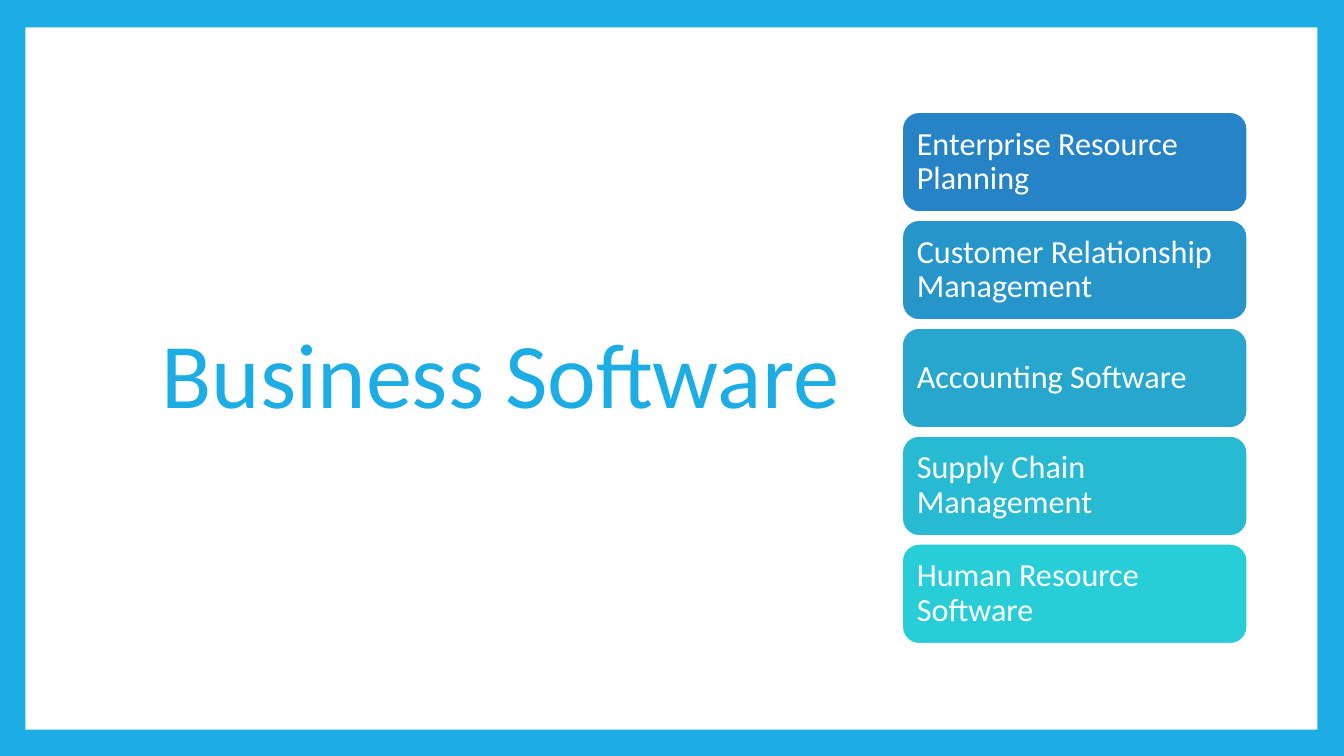
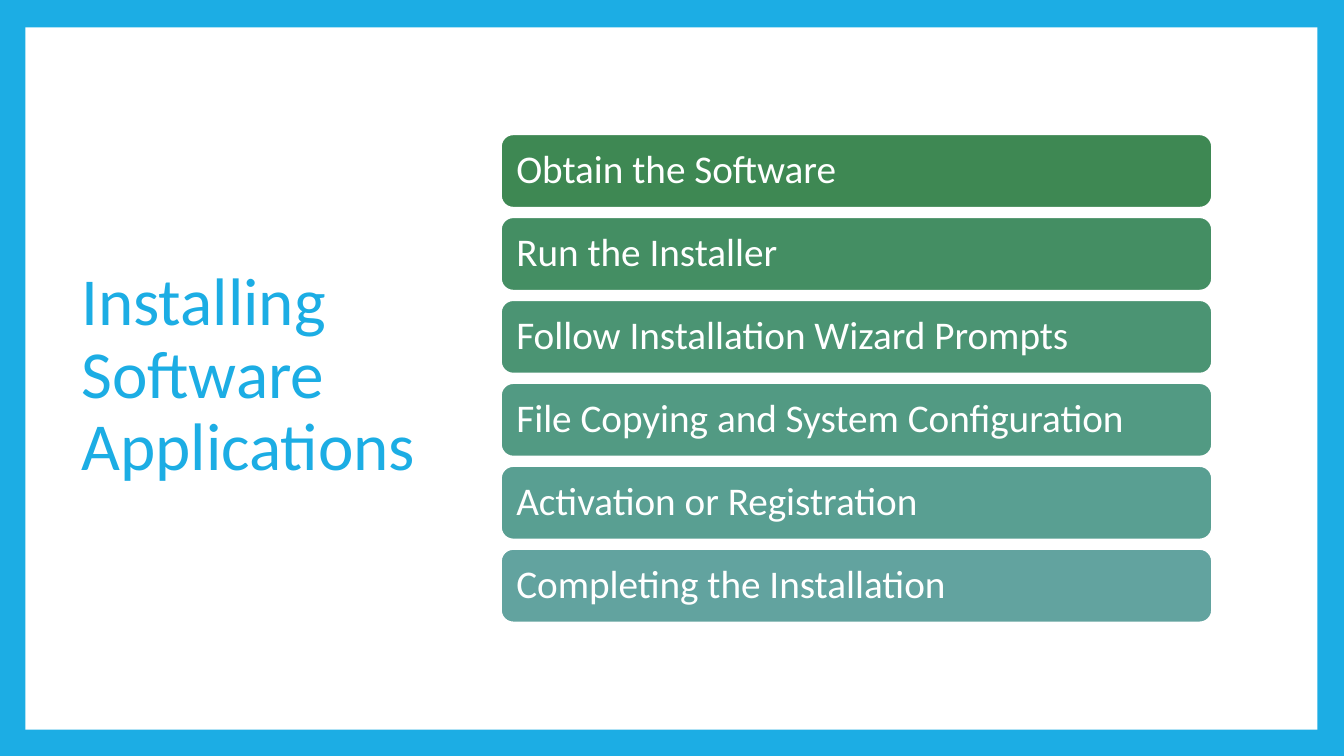
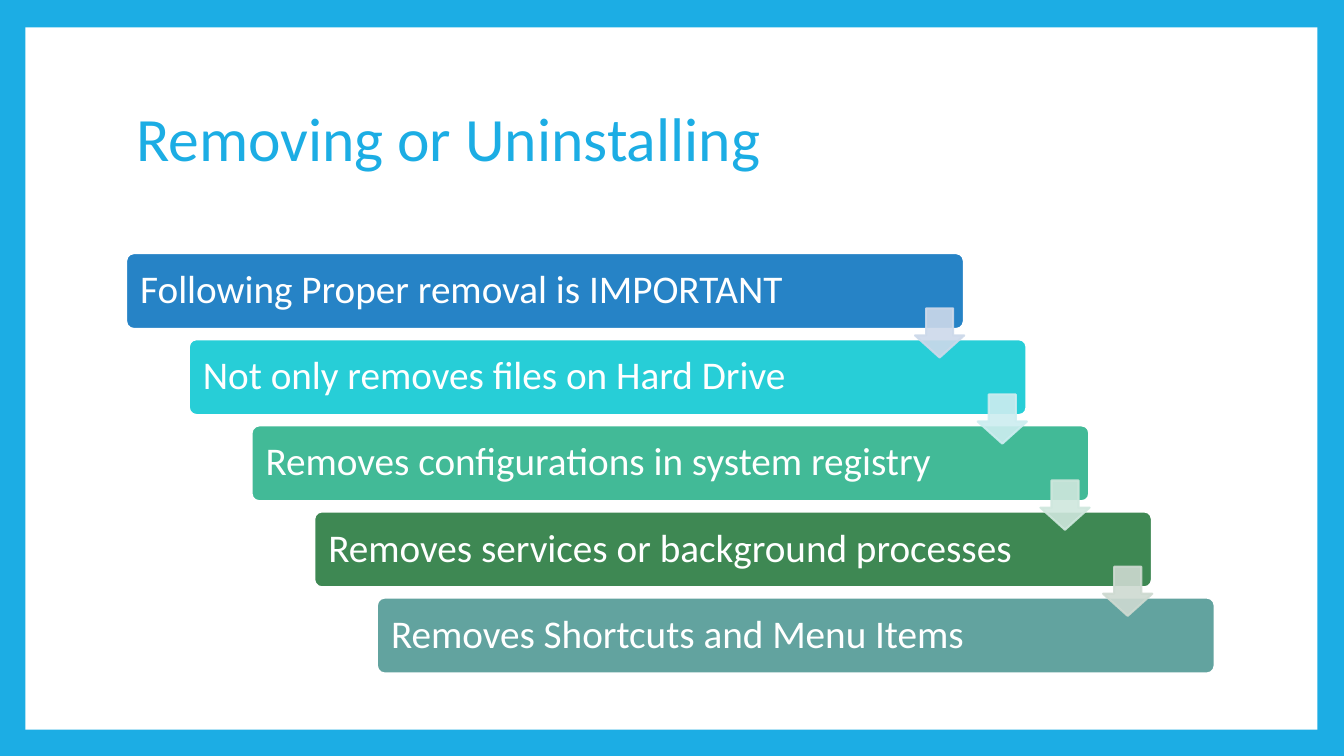
from dataclasses import dataclass

from lxml.etree import SubElement
from pptx import Presentation
from pptx.dml.color import RGBColor as RGB
from pptx.enum.shapes import MSO_SHAPE as SHAPE
from pptx.enum.text import MSO_ANCHOR as ANCHOR, PP_ALIGN as ALIGN
from pptx.oxml.ns import qn
from pptx.util import Cm, Pt


@dataclass(frozen=True)
class Theme:
    font: str = "Calibri"
    accent: str = "1CADE4"
    white: str = "FFFFFF"
    line_width: float = 1.5
    line_spacing: float = 0.9
    title_sizes: tuple = (66, 48, 44)
    bar_sizes: tuple = (23, 28, 28)
    blues: tuple = ("2683C6", "2695CA", "27A7CE", "27BAD3", "27CED7")
    greens: tuple = ("3E8853", "448E63", "4B9473", "529A83", "599F92", "62A39F")
    mixed: tuple = ("2683C6", "27CED7", "42BA97", "3E8853", "62A39F")
    arrows: tuple = ("CDD9EA", "CDEDF0", "CFE7DD", "CEDAD1")
    arrow_alpha: int = 90000


theme = Theme()


def add_box(s, kind, left, top, width, height, fill, line=None):
    sp = s.shapes.add_shape(kind, Cm(left), Cm(top), Cm(width), Cm(height))
    sp.shadow.inherit = False
    sp.fill.solid()
    sp.fill.fore_color.rgb = RGB.from_string(fill)
    if line:
        sp.line.color.rgb = RGB.from_string(line)
        sp.line.width = Pt(theme.line_width)
    else:
        sp.line.fill.background()
    return sp


def write(sp, text, size, color, align=ALIGN.LEFT):
    tf = sp.text_frame
    tf.word_wrap = True
    tf.vertical_anchor = ANCHOR.MIDDLE
    p = tf.paragraphs[0]
    p.text = text
    p.alignment = align
    p.line_spacing = theme.line_spacing
    p.font.name = theme.font
    p.font.size = Pt(size)
    p.font.color.rgb = RGB.from_string(color)
    return tf


prs = Presentation()
prs.slide_width, prs.slide_height = Cm(33.87), Cm(19.05)
background = prs.slide_master.background.fill
background.solid()
background.fore_color.rgb = RGB.from_string(theme.accent)

pages = [
    dict(title="Business Software", title_at=(2.44, 2.44, 18.97, 14.22), align=ALIGN.RIGHT,
         start=(22.73, 2.82), step=(0, 2.72), size=(8.71, 2.53), corner=0.17, inset=0.25,
         colors=theme.blues,
         bars=["Enterprise Resource Planning", "Customer Relationship Management",
               "Accounting Software", "Supply Chain Management", "Human Resource Software"]),
    dict(title="Installing Software Applications", title_at=(1.8, 1.7, 9.35, 15.57), align=ALIGN.LEFT,
         start=(12.62, 3.38), step=(0, 2.09), size=(17.93, 1.86), corner=0.17, inset=0.3,
         colors=theme.greens,
         bars=["Obtain the Software", "Run the Installer", "Follow Installation Wizard Prompts",
               "File Copying and System Configuration", "Activation or Registration",
               "Completing the Installation"]),
    dict(title="Removing or Uninstalling", title_at=(3.18, 1.7, 27.43, 3.76), align=ALIGN.LEFT,
         start=(3.18, 6.38), step=(1.58, 2.17), size=(21.11, 1.91), corner=0.1, inset=0.3,
         colors=theme.mixed,
         bars=["Following Proper removal is IMPORTANT", "Not only removes files on Hard Drive",
               "Removes configurations in system registry",
               "Removes services or background processes", "Removes Shortcuts and Menu Items"]),
]

for page, title_size, bar_size in zip(pages, theme.title_sizes, theme.bar_sizes):
    s = prs.slides.add_slide(prs.slide_layouts[6])
    add_box(s, SHAPE.RECTANGLE, 0.64, 0.69, 32.56, 17.7, theme.white)
    title = s.shapes.add_textbox(*map(Cm, page["title_at"]))
    write(title, page["title"], title_size, theme.accent, page["align"])

    left, top = page["start"]
    dx, dy = page["step"]
    for i, (text, color) in enumerate(zip(page["bars"], page["colors"])):
        bar = add_box(s, SHAPE.ROUNDED_RECTANGLE, left + i * dx, top + i * dy,
                      *page["size"], color, theme.white)
        bar.adjustments[0] = page["corner"]
        tf = write(bar, text, bar_size, theme.white)
        tf.margin_left = tf.margin_right = Cm(page["inset"])
        tf.margin_top = tf.margin_bottom = Cm(page["inset"])

for i, color in enumerate(theme.arrows):
    arrow = add_box(s, SHAPE.DOWN_ARROW, 23.06 + i * dx, 7.77 + i * dy, 1.24, 1.24, color, color)
    arrow.adjustments[0] = 0.55
    arrow.adjustments[1] = 0.45
    for clr in arrow.element.spPr.iter(qn("a:srgbClr")):
        SubElement(clr, qn("a:alpha"), val=str(theme.arrow_alpha))

prs.save("out.pptx")
